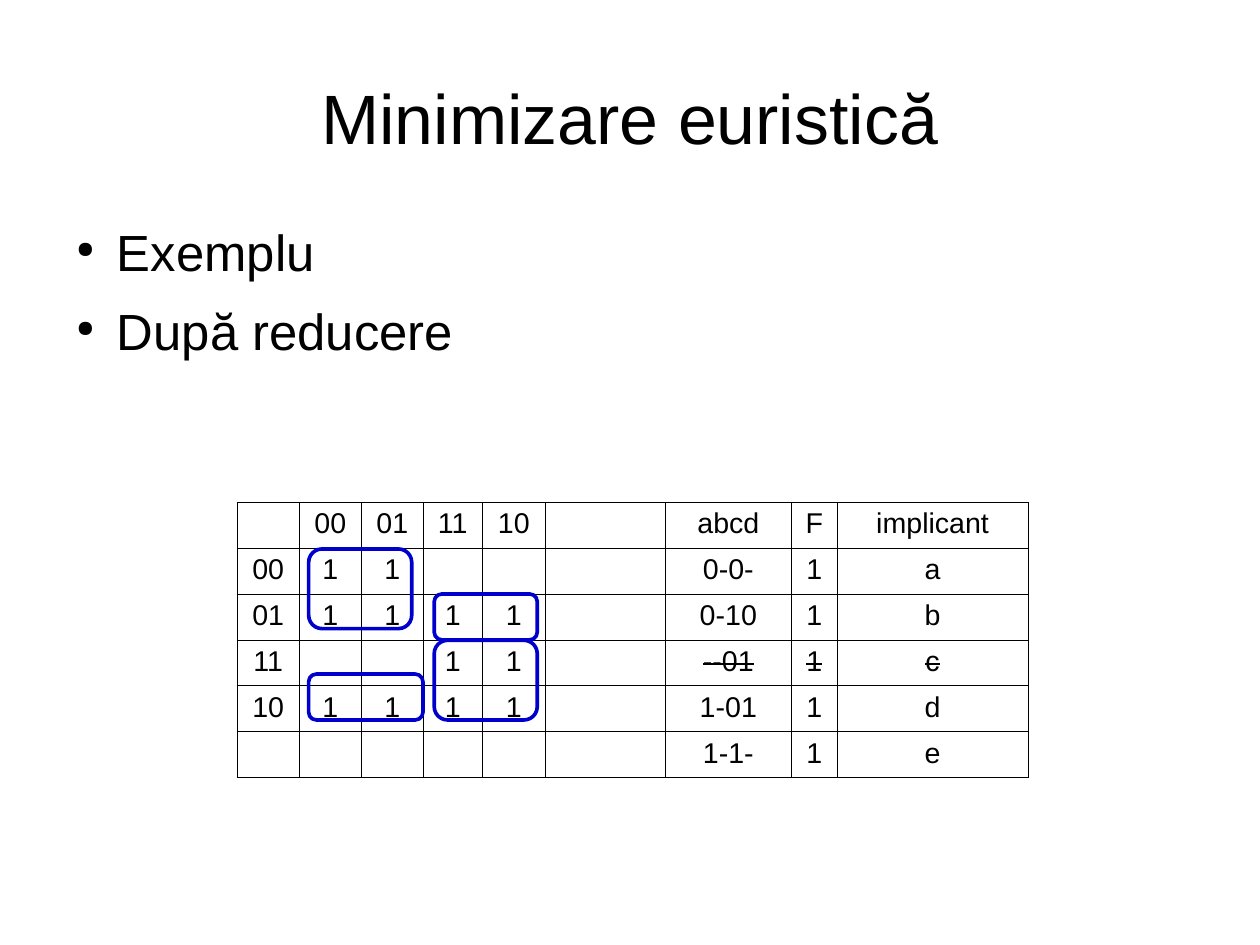
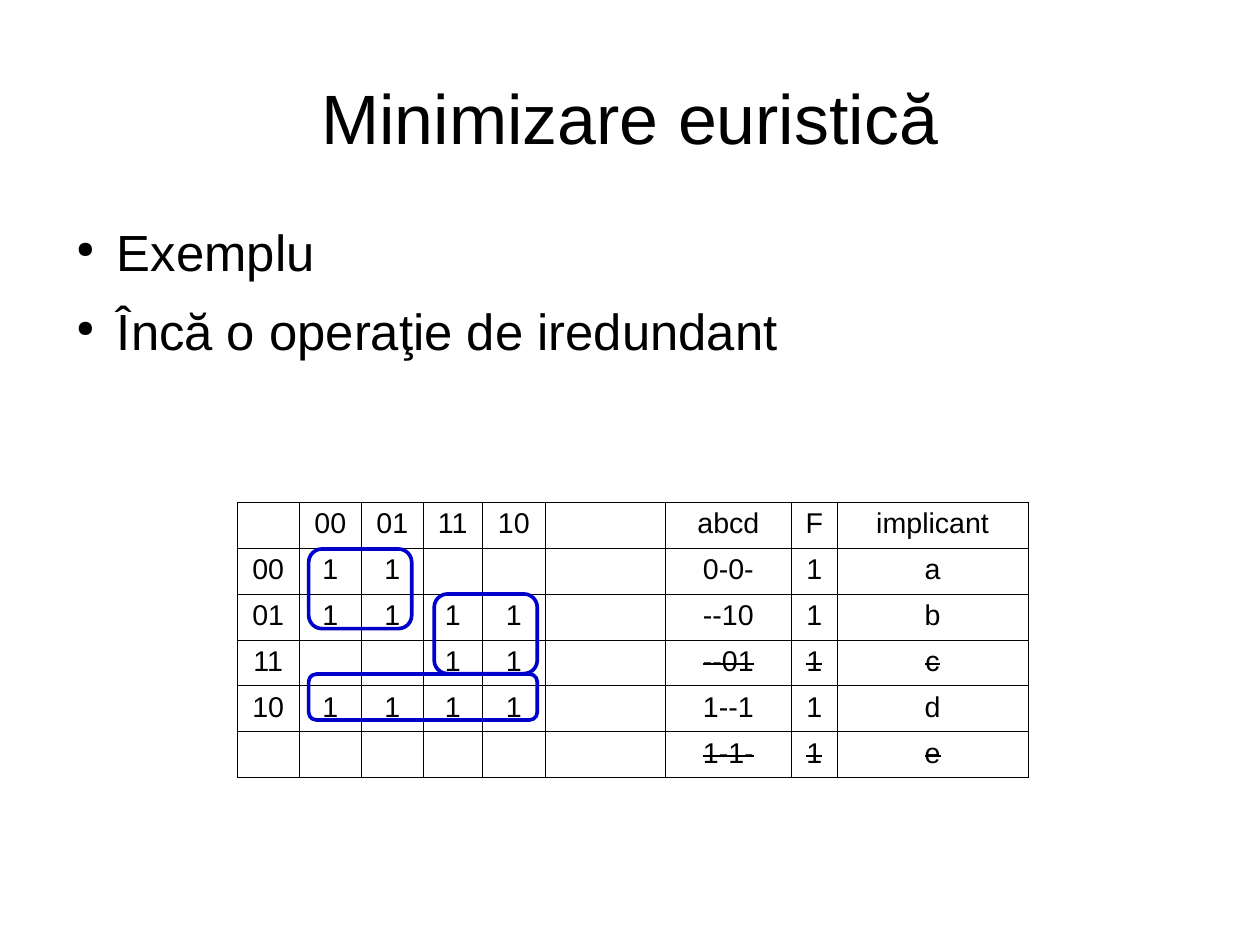
from lxml import etree
from pptx import Presentation
from pptx.dml.color import RGBColor
from pptx.enum import shapes, text
from pptx.oxml import ns
from pptx.util import Cm, Pt

BLACK = RGBColor(0x00, 0x00, 0x00)
LOOP_BLUE = RGBColor(0x00, 0x00, 0xCC)
FONT = "Arial"

COLUMN_WIDTHS = (1.38, 1.38, 1.38, 1.31, 1.4, 2.67, 2.8, 1.02, 4.24)
ROW_HEIGHT = 1.02
MAP_CODES = ("00", "01", "11", "10")
MAP_ONES = ("1100", "1111", "0011", "1111")


class Style:
    """Shared look of the deck, and the slide being filled."""

    def __init__(self, deck):
        self.deck = deck
        self.page = None

    def new_page(self):
        self.page = self.deck.slides.add_slide(self.deck.slide_layouts[6])

    def span(self, para, words, size, strike=False):
        span = para.add_run()
        span.text = words
        span.font.name = FONT
        span.font.size = Pt(size)
        span.font.color.rgb = BLACK
        if strike:
            span._r.get_or_add_rPr().set("strike", "sngStrike")

    def frame(self, left, top, width, height):
        box = self.page.shapes.add_textbox(Cm(left), Cm(top), Cm(width), Cm(height))
        frame = box.text_frame
        frame.word_wrap = True
        frame.margin_left = frame.margin_right = 0
        frame.margin_top = frame.margin_bottom = 0
        return frame

    def title(self, words):
        frame = self.frame(1.4, 0.84, 25.2, 3.5)
        frame.vertical_anchor = text.MSO_ANCHOR.MIDDLE
        para = frame.paragraphs[0]
        para.alignment = text.PP_ALIGN.CENTER
        self.span(para, words, 44)

    def bullets(self, lines):
        frame = self.frame(1.4, 4.9, 25.2, 12.2)
        for number, words in enumerate(lines):
            para = frame.add_paragraph() if number else frame.paragraphs[0]
            properties = para._p.get_or_add_pPr()
            properties.set("marL", str(Cm(1.2)))
            properties.set("indent", str(Cm(-0.9)))
            para.space_after = Pt(11.3)
            etree.SubElement(properties, ns.qn("a:buSzPct"), val="45000")
            etree.SubElement(properties, ns.qn("a:buChar"), char="●")
            self.span(para, words, 32)

    def cell(self, cell, words, strike):
        cell.fill.background()
        properties = cell._tc.get_or_add_tcPr()
        for position, side in enumerate(("lnL", "lnR", "lnT", "lnB")):
            border = etree.Element(ns.qn("a:" + side), w=str(Pt(0.57)))
            fill = etree.SubElement(border, ns.qn("a:solidFill"))
            etree.SubElement(fill, ns.qn("a:srgbClr"), val=str(BLACK))
            properties.insert(position, border)
        if words:
            para = cell.text_frame.paragraphs[0]
            para.alignment = text.PP_ALIGN.CENTER
            self.span(para, words, 18, strike)
        else:
            cell.margin_top = cell.margin_bottom = 0

    def table(self, rows, struck):
        """Draw the rows; the implicants named in struck are crossed out."""
        table = self.page.shapes.add_table(
            len(rows), len(COLUMN_WIDTHS), Cm(5.27), Cm(11.16),
            Cm(sum(COLUMN_WIDTHS)), Cm(ROW_HEIGHT * len(rows))).table
        table.first_row = table.horz_banding = False
        for column, width in zip(table.columns, COLUMN_WIDTHS):
            column.width = Cm(width)
        for row, values in zip(table.rows, rows):
            row.height = Cm(ROW_HEIGHT)
            for index, (cell, words) in enumerate(zip(row.cells, values)):
                self.cell(cell, words, index > 5 and values[-1] in struck)

    def loop(self, left, top, width, height):
        loop = self.page.shapes.add_shape(
            shapes.MSO_SHAPE.FLOWCHART_ALTERNATE_PROCESS,
            Cm(left), Cm(top), Cm(width), Cm(height))
        loop.shadow.inherit = False
        loop.fill.background()
        loop.line.color.rgb = LOOP_BLUE
        loop.line.width = Pt(2.3)


def cover_rows(cubes):
    """Join the Karnaugh map with the list of implicants a, b, c..."""
    rows = [("", *MAP_CODES, "", "abcd", "F", "implicant")]
    map_rows = [(code, *ones.replace("0", " "))
                for code, ones in zip(MAP_CODES, MAP_ONES)]
    map_rows.append(("",) * 5)
    for map_row, cube, name in zip(map_rows, cubes, "abcde"):
        rows.append((*(value.strip() for value in map_row), "", cube, "1", name))
    return rows


PAGES = (
    ("După reducere", ("0-0-", "0-10", "--01", "1-01", "1-1-"), "c",
     ((6.86, 12.2, 2.29, 1.77), (9.65, 14.23, 2.29, 1.77),
      (6.86, 14.98, 2.54, 1.02), (9.65, 13.2, 2.29, 1.02))),
    ("Încă o operaţie de iredundant", ("0-0-", "--10", "--01", "1--1", "1-1-"), "ce",
     ((6.86, 12.2, 2.29, 1.77), (6.86, 14.98, 5.08, 1.02),
      (9.65, 13.2, 2.29, 1.77))),
)


def main():
    deck = Presentation()
    deck.slide_width, deck.slide_height = Cm(28), Cm(21)
    style = Style(deck)
    for step, cubes, struck, loops in PAGES:
        style.new_page()
        style.title("Minimizare euristică")
        style.bullets(("Exemplu", step))
        style.table(cover_rows(cubes), struck)
        for loop in loops:
            style.loop(*loop)
    deck.save("out.pptx")


if __name__ == "__main__":
    main()
